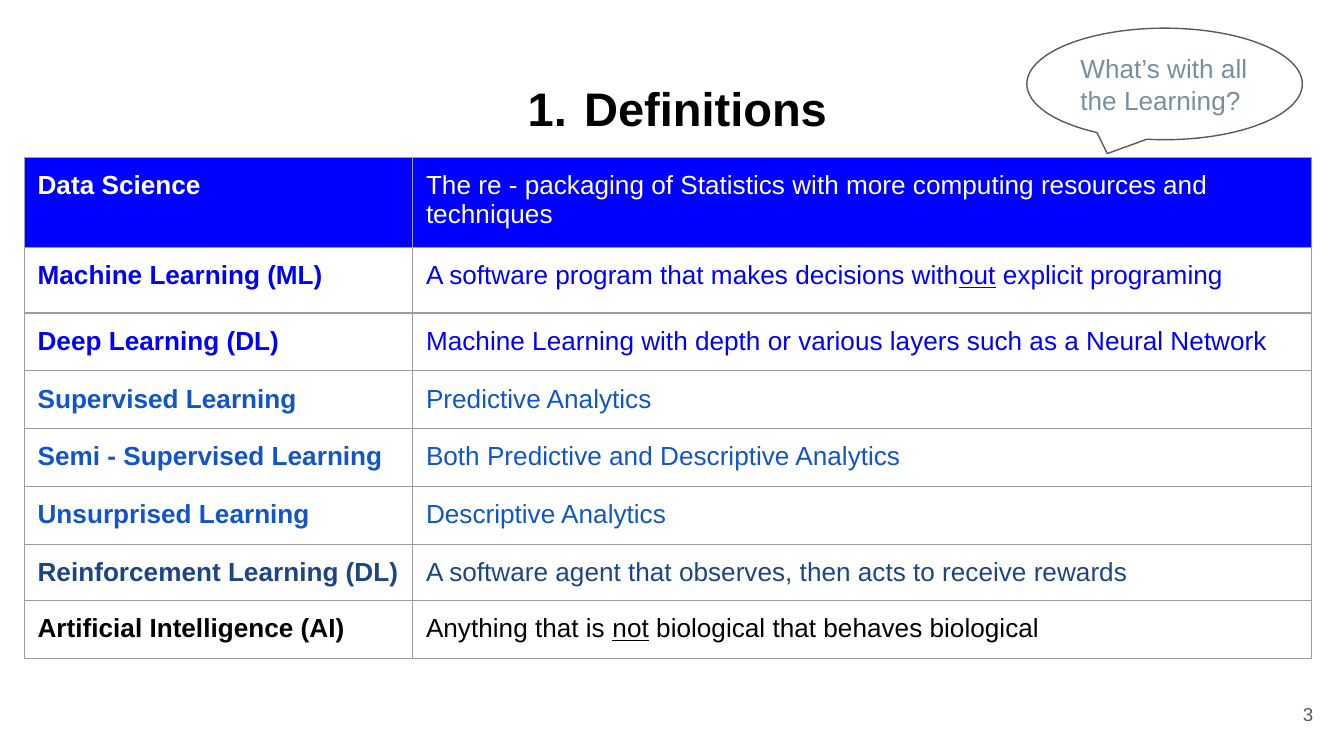
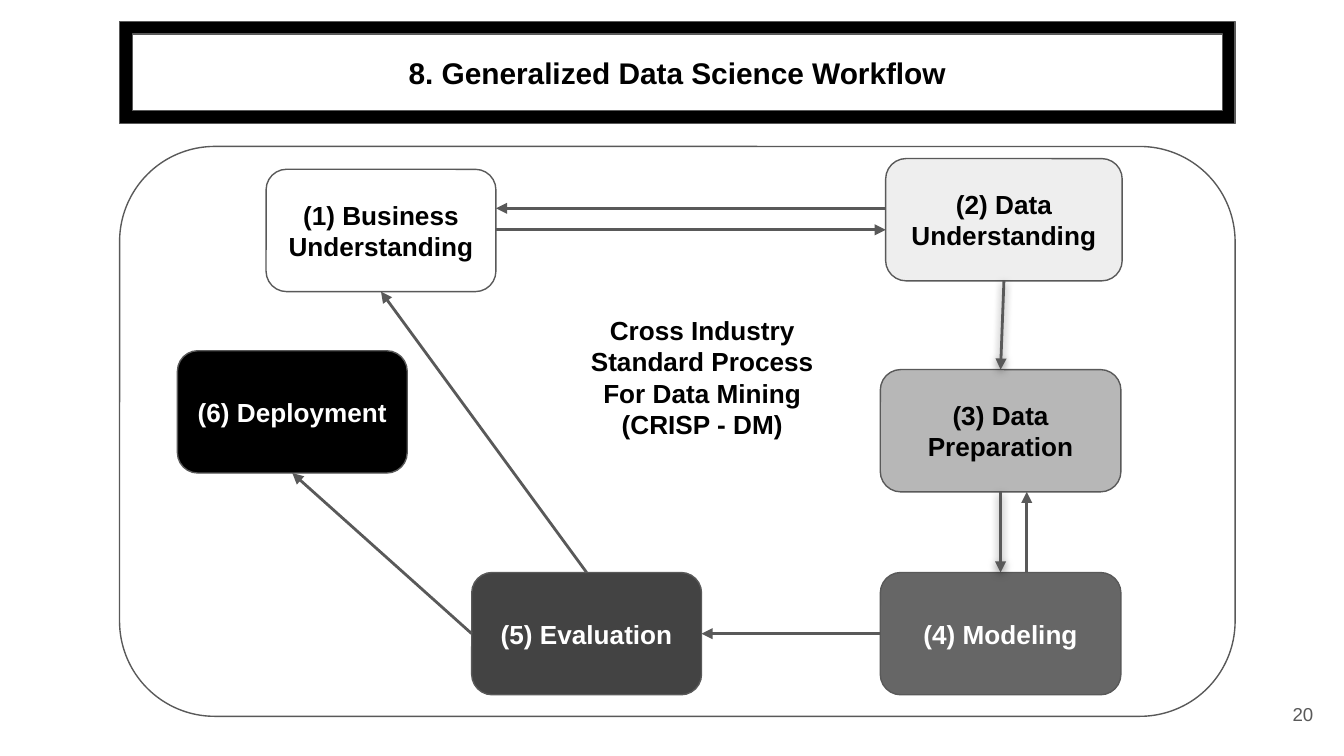
from lxml import etree
from pptx import Presentation
from pptx import util as u
from pptx.dml.color import RGBColor
from pptx.enum import shapes, text
from pptx.oxml import parse_xml
from pptx.oxml.ns import nsdecls, qn

FONT = "Arial"
COLORS = {
    "white": "FFFFFF", "black": "000000", "line": "595959", "border": "9E9E9E",
    "blue": "0000FF", "mid blue": "1155CC", "navy": "1C4587", "slate": "78909C",
    "gray 1": "EEEEEE", "gray 2": "B7B7B7", "gray 3": "666666", "gray 4": "434343",
}
RGB = {name: RGBColor.from_string(value) for name, value in COLORS.items()}
ALIGN = {"l": text.PP_ALIGN.LEFT, "c": text.PP_ALIGN.CENTER, "r": text.PP_ALIGN.RIGHT}
UNIT = u.Inches(0.1)  # the slide is a grid of 100 columns by 56.25 rows


def grid(*cells):
    """Turn grid units into slide lengths."""
    return [u.Emu(round(c * UNIT)) for c in cells]


def write(tf, content, size=14, color="black", bold=False, align="l", anchor="middle"):
    """Fill a text frame; a line break starts a paragraph, _marks_ underline."""
    tf.word_wrap = True
    tf.auto_size = text.MSO_AUTO_SIZE.NONE
    tf.vertical_anchor = text.MSO_ANCHOR[anchor.upper()]
    tf.margin_left = tf.margin_right = tf.margin_top = tf.margin_bottom = UNIT
    for i, line in enumerate(content.split("\n")):
        p = tf.add_paragraph() if i else tf.paragraphs[0]
        p.alignment = ALIGN[align]
        for j, part in enumerate(line.split("_")):
            r = p.add_run()
            r.text = part
            r.font.name, r.font.size, r.font.bold = FONT, u.Pt(size), bold
            r.font.color.rgb = RGB[color]
            if j % 2:
                r.font.underline = True


prs = Presentation()
prs.slide_width, prs.slide_height = grid(100, 56.25)

# Titles and page numbers
FRAME = (8.9, 1.6, 83, 7.6)
pages = [
    ("Definitions", (3.4, 4.9, 93.2, 6.3), 25.2, "top", "3"),
    ("8. Generalized Data Science Workflow", FRAME, 16, "middle", "20"),
]
for title, area, size, anchor, number in pages:
    s = prs.slides.add_slide(prs.slide_layouts[5])
    sp = s.shapes.title
    sp.left, sp.top, sp.width, sp.height = grid(*area)
    write(sp.text_frame, title, size=size, bold=True, align="c", anchor=anchor)
    sp = s.shapes.add_textbox(*grid(92.7, 51, 6, 4.3))
    write(sp.text_frame, number, size=10, color="line", align="r")
definitions, workflow = prs.slides

# Numbered title on the first slide
pPr = definitions.shapes.title.text_frame.paragraphs[0]._p.get_or_add_pPr()
pPr.set("marL", str(u.Inches(0.5)))
pPr.set("indent", str(u.Inches(-0.42)))
color = etree.SubElement(pPr, qn("a:buClr"))
etree.SubElement(color, qn("a:srgbClr"), val=COLORS["black"])
etree.SubElement(pPr, qn("a:buFont"), typeface=FONT)
etree.SubElement(pPr, qn("a:buAutoNum"), type="arabicPeriod")

# Table of definitions: term, meaning, text colour, fill, row height
terms = [
    ("Data Science",
     "The re - packaging of Statistics with more computing resources and techniques",
     "white", "blue", 6.7),
    ("Machine Learning (ML)",
     "A software program that makes decisions with_out_ explicit programing",
     "blue", "white", 4.9),
    ("Deep Learning (DL)",
     "Machine Learning with depth or various layers such as a Neural Network",
     "blue", "white", 4.3),
    ("Supervised Learning", "Predictive Analytics", "mid blue", "white", 4.3),
    ("Semi - Supervised Learning", "Both Predictive and Descriptive Analytics",
     "mid blue", "white", 4.3),
    ("Unsurprised Learning", "Descriptive Analytics", "mid blue", "white", 4.3),
    ("Reinforcement Learning (DL)",
     "A software agent that observes, then acts to receive rewards",
     "navy", "white", 4.1),
    ("Artificial Intelligence (AI)",
     "Anything that is _not_ biological that behaves biological",
     "black", "white", 4.3),
]
widths = (28.9, 66.9)
area = grid(1.8, 11.7, sum(widths), sum(row[-1] for row in terms))
table = definitions.shapes.add_table(len(terms), len(widths), *area).table
table.first_row = table.horz_banding = False
for column, width in zip(table.columns, grid(*widths)):
    column.width = width
for i, (term, meaning, ink, fill, height) in enumerate(terms):
    table.rows[i].height = grid(height)[0]
    for j, content in enumerate((term, meaning)):
        cell = table.cell(i, j)
        cell.margin_left = cell.margin_right = UNIT
        cell.margin_top = cell.margin_bottom = UNIT
        tcPr = cell._tc.get_or_add_tcPr()
        for side in "LRTB":
            tcPr.append(parse_xml(
                f'<a:ln{side} {nsdecls("a")} w="{u.Pt(0.75)}"><a:solidFill>'
                f'<a:srgbClr val="{COLORS["border"]}"/></a:solidFill></a:ln{side}>'))
        cell.fill.solid()
        cell.fill.fore_color.rgb = RGB[fill]
        write(cell.text_frame, content, color=ink, bold=j == 0, anchor="top")

# Shapes: slide, preset, area, adjustments, fill, text, text format
ROUND = ("ROUNDED_RECTANGLE", (0.167,))
label = {"bold": True, "align": "c"}
light = {**label, "color": "white"}
outlined = [
    (definitions, "OVAL_CALLOUT", (-0.208, 0.625), (76.4, 2.1, 20.5, 8.3), None,
     "What’s with all the Learning?", {"color": "slate"}),
    (workflow, *ROUND, (19.8, 12.6, 17.1, 9.1), "white", "(1) Business Understanding", label),
    (workflow, *ROUND, (65.9, 11.8, 17.6, 9.1), "gray 1", "(2) Data Understanding", label),
    (workflow, *ROUND, (65.5, 27.5, 17.9, 9.1), "gray 2", "(3) Data Preparation", label),
    (workflow, *ROUND, (65.5, 42.6, 17.9, 9.1), "gray 3", "(4) Modeling", light),
    (workflow, *ROUND, (35.1, 42.6, 17.1, 9.1), "gray 4", "(5) Evaluation", light),
    (workflow, *ROUND, (13.2, 26.1, 17.1, 9.1), "black", "(6) Deployment", light),
    (workflow, *ROUND, (8.9, 10.9, 83, 42.4), None, "", {}),
    (workflow, "FRAME", (0.125,), FRAME, "black", "", {}),
]
steps = {}
for s, preset, adjustments, area, fill, content, style in outlined:
    sp = s.shapes.add_shape(shapes.MSO_SHAPE[preset], *grid(*area))
    sp.shadow.inherit = False
    for i, value in enumerate(adjustments):
        sp.adjustments[i] = value
    if fill:
        sp.fill.solid()
        sp.fill.fore_color.rgb = RGB[fill]
    else:
        sp.fill.background()
    sp.line.color.rgb, sp.line.width = RGB["line"], u.Pt(0.75)
    if content:
        write(sp.text_frame, content, **style)
        if content[0] == "(":
            steps[int(content[1])] = sp

# Arrows: ends on the grid, glued steps and sites if any, shadow
TOP, LEFT, BOTTOM, RIGHT = range(4)
arrows = [
    ((74.7, 20.9, 74.5, 27.5), (2, BOTTOM, 3, TOP), True),
    ((74.5, 36.6, 74.5, 42.6), (3, BOTTOM, 4, TOP), True),
    ((36.9, 17.1, 65.9, 17.1), None, False),
    ((65.9, 15.5, 36.9, 15.5), None, False),
    ((65.5, 47.2, 52.1, 47.2), (4, LEFT, 5, RIGHT), False),
    ((76.4, 42.6, 76.4, 36.6), None, False),
    ((35.1, 47.2, 21.7, 35.2), (5, LEFT, 6, BOTTOM), False),
    ((43.6, 42.6, 28.4, 21.7), (5, TOP, 1, BOTTOM), False),
]
for ends, glue, shadow in arrows:
    arrow = workflow.shapes.add_connector(shapes.MSO_CONNECTOR.STRAIGHT, *grid(*ends))
    if glue:
        arrow.begin_connect(steps[glue[0]], glue[1])
        arrow.end_connect(steps[glue[2]], glue[3])
    arrow.line.color.rgb, arrow.line.width = RGB["line"], u.Pt(1.5)
    etree.SubElement(arrow.line._get_or_add_ln(), qn("a:tailEnd"), type="triangle")
    effects = etree.SubElement(arrow._element.spPr, qn("a:effectLst"))
    if shadow:
        drop = etree.SubElement(effects, qn("a:outerShdw"), blurRad=str(u.Pt(4.5)),
                                dist=str(u.Pt(1.5)), dir="5400000")
        shade = etree.SubElement(drop, qn("a:srgbClr"), val=COLORS["black"])
        etree.SubElement(shade, qn("a:alpha"), val="50000")

# Name of the process in the middle of the cycle
sp = workflow.shapes.add_textbox(*grid(42.8, 22.4, 18.9, 11.4))
write(sp.text_frame, "Cross Industry\nStandard Process\nFor Data Mining\n(CRISP - DM)",
      anchor="top", **label)
sp.text_frame.auto_size = text.MSO_AUTO_SIZE.SHAPE_TO_FIT_TEXT

prs.save("out.pptx")
